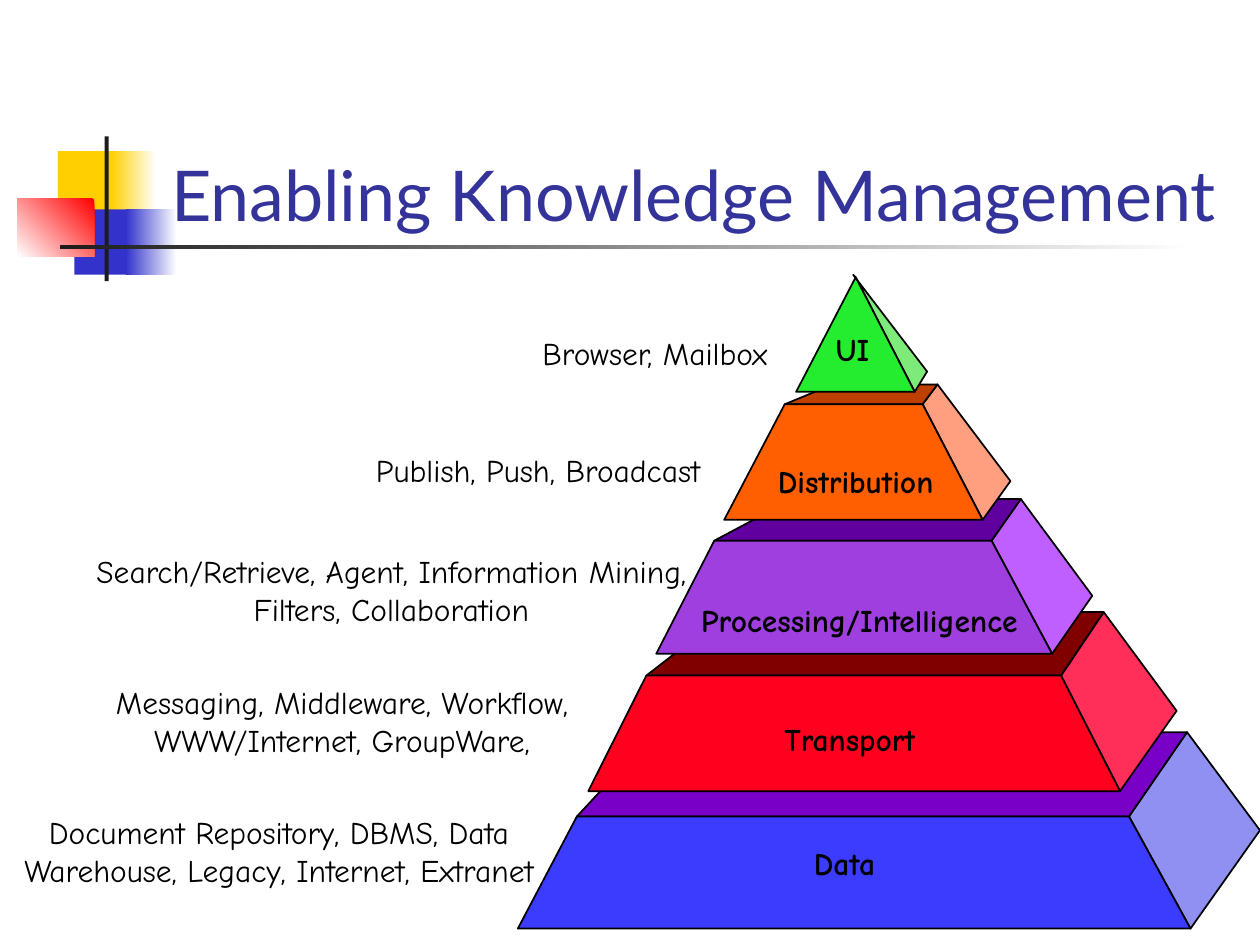
from dataclasses import dataclass

from pptx import Presentation
from pptx.dml.color import RGBColor
from pptx.enum.shapes import MSO_SHAPE as Preset
from pptx.enum.text import MSO_ANCHOR as Anchor, MSO_AUTO_SIZE as AutoSize, PP_ALIGN as Align
from pptx.util import Cm, Pt

Point = tuple[float, float]


@dataclass(frozen=True)
class Block:
    left: float
    top: float
    width: float
    height: float
    color: str
    fade_to: str = ""
    angle: float = 180


@dataclass(frozen=True)
class Tier:
    """One pyramid layer: its front face, then the back corners that give it depth."""
    top_left: float
    top_right: float
    top: float
    bottom_left: float
    bottom_right: float
    bottom: float
    back: Point
    side: Point
    back_left: float
    front_color: str
    side_color: str
    top_color: str


@dataclass(frozen=True)
class Label:
    text: str
    left: float
    top: float
    width: float
    height: float = 1.02
    bold: bool = False
    wrap: bool = False


BLOCKS = [
    Block(1.17, 3.05, 1.22, 1.32, "FFCF01"),
    Block(2.24, 3.05, 0.91, 1.32, "FFFFFF", "FFCF01"),
    Block(1.5, 4.22, 1.17, 1.32, "3333CC"),
    Block(2.54, 4.22, 1.02, 1.32, "FFFFFF", "3333CC"),
    Block(0.35, 4.01, 1.55, 1.17, "FF0000", "FFFFFF", 225),
    Block(2.11, 2.75, 0.08, 2.92, "1C1C1C"),
    Block(1.22, 4.94, 22.86, 0.09, "FFFFFF", "1C1C1C"),
]

TIERS = [
    Tier(11.63, 22.76, 16.46, 10.44, 24.0, 18.72, (23.93, 14.76), (25.4, 16.74), 13.21,
         "3C3CFF", "9090F2", "7800C7"),
    Tier(13.03, 21.39, 13.62, 11.86, 22.58, 15.95, (22.25, 12.34), (23.72, 14.33), 14.68,
         "FF001F", "FF2F59", "800000"),
    Tier(14.4, 19.99, 10.9, 13.23, 21.21, 13.18, (20.58, 10.06), (22.02, 12.01), 15.98,
         "9F3FDF", "BF5FFF", "5F009F"),
    Tier(15.82, 18.6, 8.15, 14.6, 19.81, 10.48, (18.9, 7.75), (20.37, 9.7), 16.79,
         "FF5F00", "FF9F7F", "BF3F00"),
    Tier(17.25, 17.25, 5.59, 16.05, 18.44, 7.9, (17.2, 5.54), (18.69, 7.49), 17.2,
         "24ED30", "7EEA7A", ""),
]

LABELS = [
    Label("Browser, Mailbox", 10.62, 6.6, 5.16),
    Label("UI", 16.59, 6.53, 1.19, bold=True),
    Label("Distribution", 15.42, 9.19, 3.66, bold=True),
    Label("Processing/Intelligence", 13.87, 11.99, 6.91, bold=True),
    Label("Transport", 15.54, 14.4, 3.18, bold=True),
    Label("Data", 16.15, 16.89, 1.75, bold=True),
    Label("Publish, Push, Broadcast", 7.32, 8.97, 7.06),
    Label("Search/Retrieve, Agent, Information Mining, Filters, Collaboration",
          1.63, 11.0, 12.52, 1.78, wrap=True),
    Label("Messaging, Middleware, Workflow, WWW/Internet, GroupWare,",
          0.99, 13.64, 11.81, 1.78, wrap=True),
    Label("Document Repository, DBMS, Data Warehouse, Legacy, Internet, Extranet",
          0, 16.26, 11.25, 1.78, wrap=True),
]


def paint(color_format, color: str) -> None:
    color_format.rgb = RGBColor.from_string(color)


def draw_block(shapes, block: Block) -> None:
    box = shapes.add_shape(Preset.RECTANGLE, Cm(block.left), Cm(block.top),
                           Cm(block.width), Cm(block.height))
    box.shadow.inherit = False
    box.line.fill.background()
    if block.fade_to:
        box.fill.gradient()
        box.fill.gradient_angle = block.angle
        for stop, color in zip(box.fill.gradient_stops, (block.color, block.fade_to)):
            paint(stop.color, color)
    else:
        box.fill.solid()
        paint(box.fill.fore_color, block.color)


def draw_face(shapes, corners: list[Point], color: str) -> None:
    start, *others = [(Cm(x), Cm(y)) for x, y in corners]
    outline = shapes.build_freeform(*start)
    outline.add_line_segments(others, close=True)
    face = outline.convert_to_shape()
    face.shadow.inherit = False
    face.fill.solid()
    paint(face.fill.fore_color, color)
    paint(face.line.color, "000000")
    face.line.width = Pt(1)


def draw_tier(shapes, tier: Tier) -> None:
    top_left, top_right = (tier.top_left, tier.top), (tier.top_right, tier.top)
    bottom_left = (tier.bottom_left, tier.bottom)
    bottom_right = (tier.bottom_right, tier.bottom)
    draw_face(shapes, [bottom_right, top_right, tier.back, tier.side], tier.side_color)
    if tier.top_color:
        back_left = (tier.back_left, tier.back[1])
        draw_face(shapes, [top_left, top_right, tier.back, back_left], tier.top_color)
    draw_face(shapes, [top_left, top_right, bottom_right, bottom_left], tier.front_color)


def write(shapes, label: Label, font: str, size: float, color: str, align: Align):
    box = shapes.add_textbox(Cm(label.left), Cm(label.top), Cm(label.width), Cm(label.height))
    frame = box.text_frame
    frame.word_wrap = label.wrap
    paragraph = frame.paragraphs[0]
    paragraph.text = label.text
    paragraph.alignment = align
    paragraph.font.name = font
    paragraph.font.size = Pt(size)
    paragraph.font.bold = label.bold
    paint(paragraph.font.color, color)
    return frame


def main() -> None:
    deck = Presentation()
    deck.slide_width, deck.slide_height = Cm(25.4), Cm(19.05)
    shapes = deck.slides.add_slide(deck.slide_layouts[6]).shapes

    for block in BLOCKS:
        draw_block(shapes, block)

    title = Label("Enabling Knowledge Management", 3.2, 1.7, 21.64, 3.18, wrap=True)
    write(shapes, title, "Lato", 40, "333399", Align.LEFT).vertical_anchor = Anchor.BOTTOM

    for tier in TIERS:
        draw_tier(shapes, tier)
    for label in LABELS:
        frame = write(shapes, label, "Comic Neue", 18, "000000", Align.CENTER)
        frame.auto_size = AutoSize.SHAPE_TO_FIT_TEXT

    deck.save("out.pptx")


if __name__ == "__main__":
    main()
